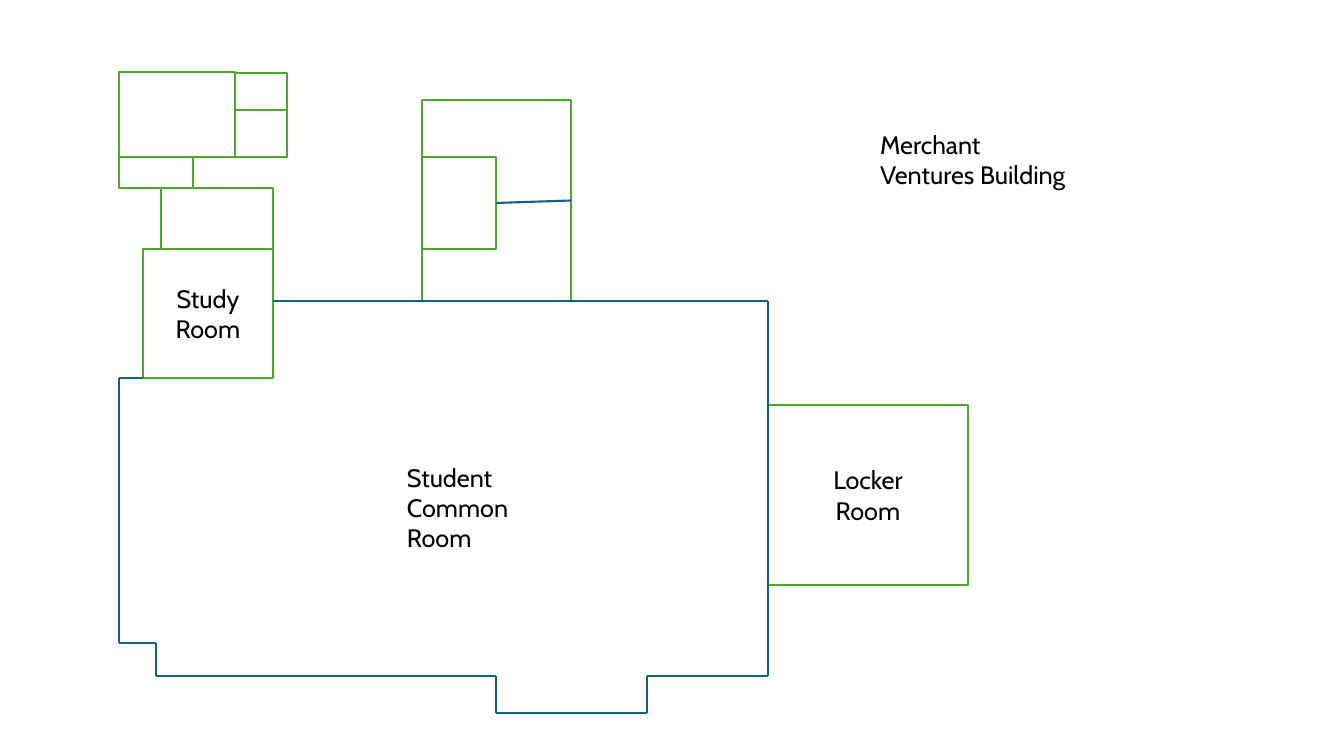
from itertools import pairwise

from pptx import Presentation
from pptx.dml.color import RGBColor
from pptx.enum.shapes import MSO_CONNECTOR as Link, MSO_SHAPE as Kind
from pptx.enum.text import MSO_ANCHOR as Anchor, MSO_AUTO_SIZE as Fit, PP_ALIGN as Align
from pptx.oxml.ns import qn
from pptx.util import Emu, Pt

GREEN = RGBColor(0x4E, 0xA7, 0x2E)
BLUE = RGBColor(0x15, 0x60, 0x82)
WHITE = RGBColor(0xFF, 0xFF, 0xFF)
BLACK = RGBColor(0, 0, 0)
SCALE = 914400 / 100.8


def px(*nums):
    return [Emu(round(n * SCALE)) for n in nums]


def label(shape, text, align, anchor):
    frame = shape.text_frame
    frame.text = text
    frame.word_wrap = True
    frame.auto_size = Fit.NONE
    frame.vertical_anchor = anchor
    par = frame.paragraphs[0]
    par.alignment = align
    for run in par.runs:
        run.font.name = "Cabin"
        run.font.size = Pt(18)
        run.font.color.rgb = BLACK


deck = Presentation()
deck.slide_width, deck.slide_height = px(1344, 756)
slide = deck.slides.add_slide(deck.slide_layouts[5])
shapes = slide.shapes

title = shapes.title
title.left, title.top, title.width, title.height = px(870, 124, 212, 102)
label(title, "Merchant\vVentures Building", Align.LEFT, Anchor.TOP)

# Rooms: kind, left, top, width, height, name
BOX, ROOM = Kind.RECTANGLE, Kind.FLOWCHART_PROCESS
rooms = [
    (BOX, 235, 73, 52, 37, ""),
    (BOX, 119, 72, 116, 85, ""),
    (ROOM, 235, 110, 52, 47, ""),
    (ROOM, 119, 157, 74, 31, ""),
    (ROOM, 161, 188, 112, 61, ""),
    (ROOM, 143, 249, 130, 129, "Study\vRoom"),
    (ROOM, 422, 100, 149, 201, ""),
    (BOX, 422, 157, 74, 92, ""),
    (ROOM, 768, 405, 200, 180, "Locker\vRoom"),
]
drawn = []
for kind, left, top, width, height, name in rooms:
    room = shapes.add_shape(kind, *px(left, top, width, height))
    room.shadow.inherit = False
    room.fill.solid()
    room.fill.fore_color.rgb = WHITE
    room.line.color.rgb = GREEN
    room.line.width = Pt(1.5)
    if name:
        label(room, name, Align.CENTER, Anchor.MIDDLE)
    drawn.append(room)

# Walls of the common room, then the wall between the two stair rooms
corners = [
    (273, 301), (768, 301), (768, 676), (647, 676), (647, 713), (496, 713),
    (496, 676), (156, 676), (156, 643), (119, 643), (119, 378), (143, 378),
]
walls = [*pairwise(corners), ((496, 203), (571, 200))]
for start, end in walls:
    wall = shapes.add_connector(Link.STRAIGHT, *px(*start, *end))
    wall.line.color.rgb = BLUE
    wall.line.width = Pt(1.5)
    props = wall._element.spPr
    props.append(props.makeelement(qn("a:effectLst"), {}))
outer, inner = drawn[6:8]
wall.begin_connect(inner, 3)
wall.end_connect(outer, 3)

common = shapes.add_textbox(*px(397, 457, 128, 102))
label(common, "Student\vCommon\vRoom", Align.LEFT, Anchor.TOP)

deck.save("out.pptx")
